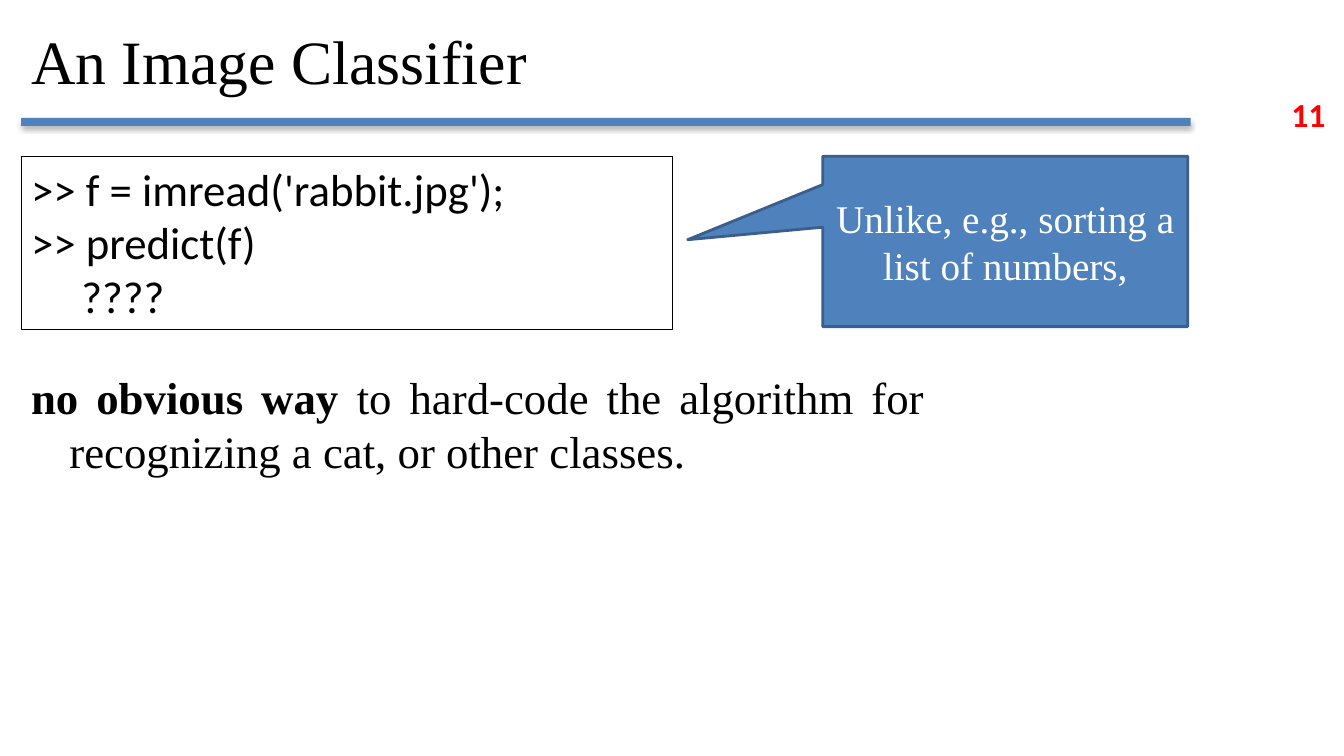
from dataclasses import dataclass

from lxml.etree import SubElement as Sub
from pptx import Presentation
from pptx.dml.color import RGBColor as Rgb
from pptx.enum.shapes import MSO_SHAPE as Kind
from pptx.enum.text import MSO_ANCHOR as Anchor, PP_ALIGN as Align
from pptx.oxml.ns import qn
from pptx.shapes.autoshape import Shape
from pptx.slide import Slide
from pptx.util import Inches, Pt

SERIF = "Times New Roman"
SANS = "Calibri"
BLACK = "000000"
BLUE = "4F81BD"
LEFT = 0.21


@dataclass
class Block:
    box: tuple[float, float, float, float]
    text: str = ""
    size: int = 32
    font: str = SERIF
    color: str = BLACK
    bold: bool = False
    lead: str = ""
    align: Align = Align.LEFT
    anchor: Anchor = Anchor.TOP
    wrap: bool = True
    hang: float = 0
    kind: Kind | None = None
    fill: str = ""
    line: str = ""
    width: float = 0


def rgb(code: str) -> Rgb:
    return Rgb.from_string(code)


def paint(shape: Shape, block: Block) -> None:
    shape.shadow.inherit = False
    if block.fill:
        shape.fill.solid()
        shape.fill.fore_color.rgb = rgb(block.fill)
    else:
        shape.fill.background()
    if block.line:
        shape.line.color.rgb = rgb(block.line)
        shape.line.width = Pt(block.width)
    else:
        shape.line.fill.background()


def write(shape: Shape, block: Block) -> None:
    frame = shape.text_frame
    frame.word_wrap = block.wrap
    frame.vertical_anchor = block.anchor
    frame.text = block.lead or block.text
    if block.lead:
        frame.paragraphs[0].add_run().text = block.text
    for para in frame.paragraphs:
        para.alignment = block.align
        if block.hang:
            props = para._p.get_or_add_pPr()
            props.set("marL", str(Inches(block.hang)))
            props.set("indent", str(-Inches(block.hang)))
        for run in para.runs:
            run.font.name = block.font
            run.font.size = Pt(block.size)
            run.font.color.rgb = rgb(block.color)
            run.font.bold = block.bold or run.text == block.lead


def draw(slide: Slide, block: Block) -> Shape:
    place = [Inches(n) for n in block.box]
    if block.kind is None:
        shape = slide.shapes.add_textbox(*place)
    else:
        shape = slide.shapes.add_shape(block.kind, *place)
        paint(shape, block)
    if block.text:
        write(shape, block)
    return shape


def shade(shape: Shape) -> None:
    effects = shape._element.spPr.find(qn("a:effectLst"))
    outer = Sub(effects, qn("a:outerShdw"), blurRad=str(Pt(3.5)),
                dist=str(Pt(2.2)), dir="5400000", rotWithShape="0")
    tint = Sub(outer, qn("a:srgbClr"), val=BLACK)
    Sub(tint, qn("a:alpha"), val="32000")


def main() -> None:
    deck = Presentation()
    deck.slide_width, deck.slide_height = Inches(13.33), Inches(7.5)
    slide = deck.slides.add_slide(deck.slide_layouts[6])

    rule = Block((LEFT, 1.17, 11.6, 0.08), kind=Kind.RECTANGLE, fill=BLUE)
    page = Block((12.71, 0.88, 0.59, 0.5), "11", 24, SANS, "FF0000",
                 bold=True, wrap=False)
    title = Block((LEFT, 0.08, 10.94, 1.02), "An Image Classifier", 44,
                  anchor=Anchor.MIDDLE)
    body = Block((LEFT, 3.62, 9.06, 2.33),
                 " to hard-code the algorithm for recognizing a cat, "
                 "or other classes.",
                 lead="no obvious way", align=Align.JUSTIFY, hang=0.38)
    code = Block((LEFT, 1.55, 6.46, 1.72),
                 ">> f = imread('rabbit.jpg');\n>> predict(f)\n\t????",
                 font=SANS, kind=Kind.RECTANGLE, line=BLACK, width=0.25)
    note = Block((8.16, 1.55, 3.62, 1.69),
                 "Unlike, e.g., sorting a list of numbers,", 28,
                 color="FFFFFF", align=Align.CENTER, anchor=Anchor.MIDDLE,
                 kind=Kind.RECTANGULAR_CALLOUT, fill=BLUE,
                 line="3A5F8C", width=2)

    shade(draw(slide, rule))
    for block in (page, title, body, code):
        draw(slide, block)
    callout = draw(slide, note)
    callout.adjustments[0] = -0.87
    callout.adjustments[1] = -0.01
    deck.save("out.pptx")


if __name__ == "__main__":
    main()
